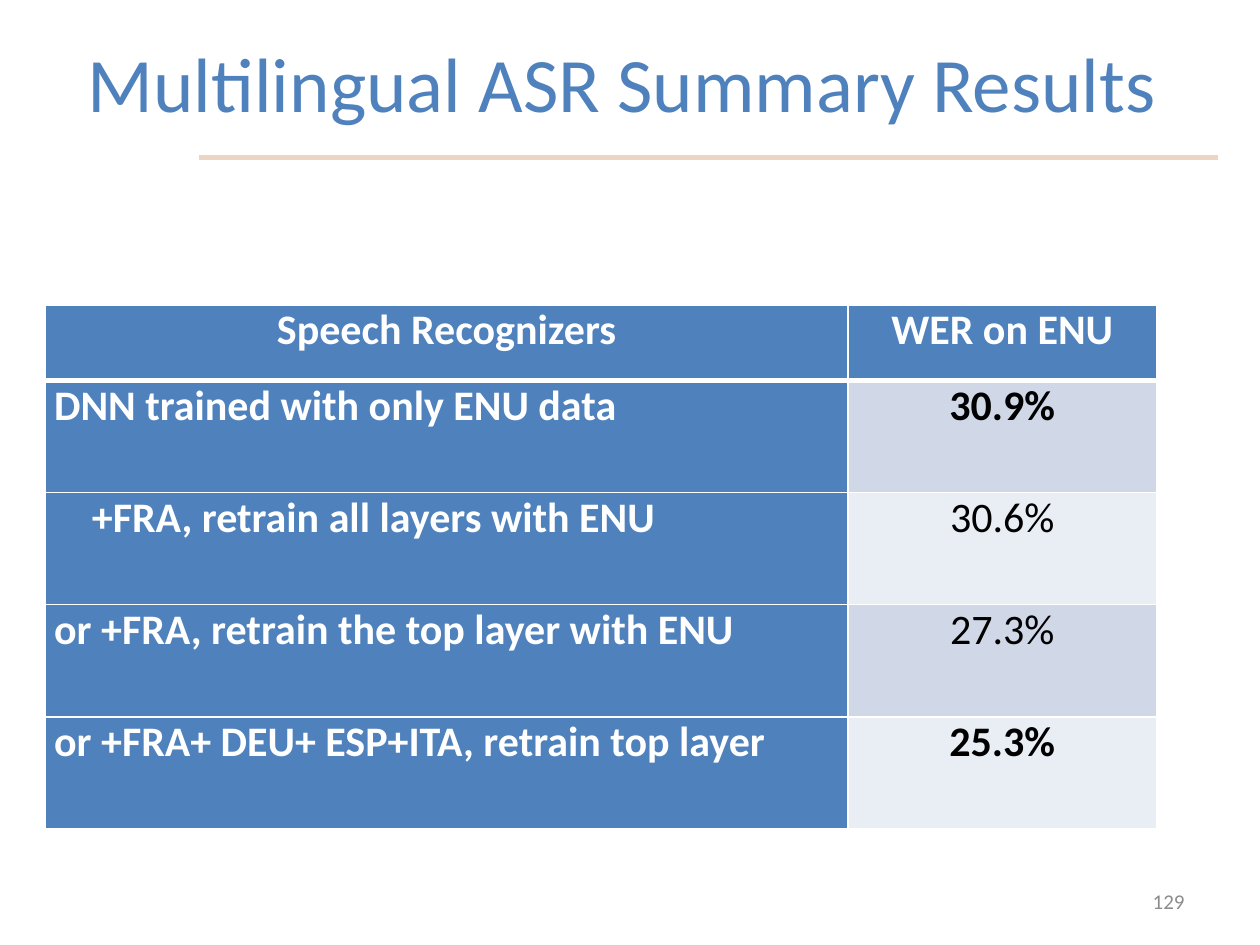
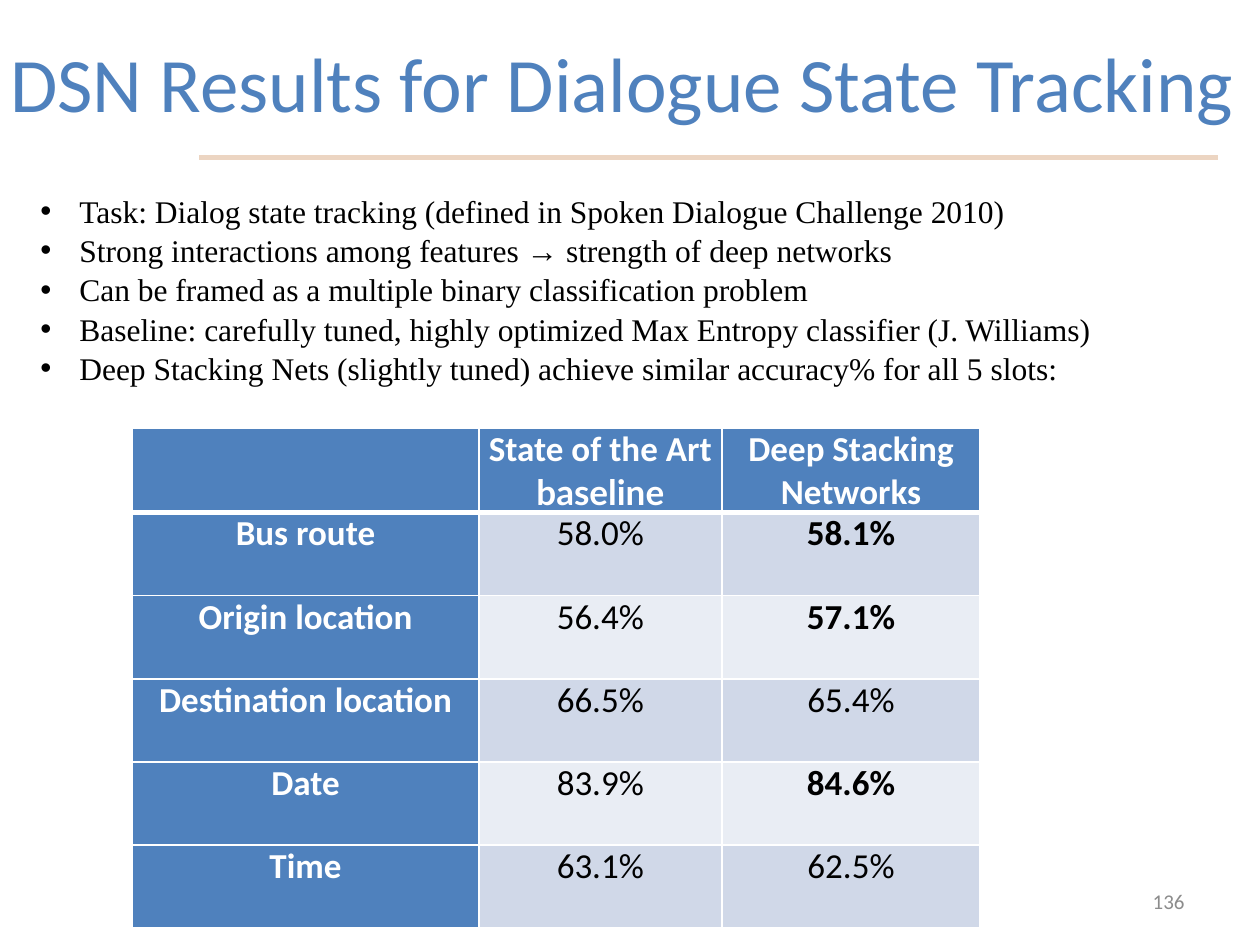
from lxml import etree
from pptx import Presentation
from pptx.dml.color import RGBColor
from pptx.enum import shapes, text
from pptx.oxml import ns
from pptx.util import Inches, Pt

BLUE = RGBColor(0x4F, 0x81, 0xBD)
SAND = RGBColor(0xEC, 0xD5, 0xC2)
GREY = RGBColor(0x8C, 0x8C, 0x8C)
WHITE = RGBColor(0xFF, 0xFF, 0xFF)
BLACK = RGBColor(0, 0, 0)
BANDS = (RGBColor(0xD0, 0xD8, 0xE8), RGBColor(0xE9, 0xED, 0xF4))
SANS, SERIF, HEADER_ALT = "Calibri", "Times New Roman", "Lato"
LEFT, CENTER, RIGHT = text.PP_ALIGN.LEFT, text.PP_ALIGN.CENTER, text.PP_ALIGN.RIGHT
TITLE_ONLY, TITLE_AND_BODY = 5, 1

SLIDES = [
    {
        "title": "Multilingual ASR Summary Results",
        "number": "129",
        "points": [],
        "table": {
            "at": (0.36, 2.42), "columns": (6.37, 2.45), "heights": (0.6, 0.89),
            "size": 24, "label_align": LEFT,
            "rows": [
                ("Speech Recognizers", "WER on ENU"),
                ("DNN trained with only ENU data", "30.9%"),
                ("+FRA, retrain all layers with ENU", "30.6%"),
                ("or +FRA, retrain the top layer with ENU", "27.3%"),
                ("or +FRA+ DEU+ ESP+ITA, retrain top layer", "25.3%"),
            ],
            "highlights": {"30.9%", "25.3%"},
            "indents": {"+FRA, retrain all layers with ENU": 0.3},
        },
    },
    {
        "title": "DSN Results for Dialogue State Tracking",
        "number": "136",
        "points": [
            "Task: Dialog state tracking (defined in Spoken Dialogue Challenge 2010)",
            "Strong interactions among features → strength of deep networks",
            "Can be framed as a multiple binary classification problem",
            "Baseline: carefully tuned, highly optimized Max Entropy classifier (J. Williams)",
            "Deep Stacking Nets (slightly tuned) achieve similar accuracy% for all 5 slots:",
        ],
        "table": {
            "at": (1.05, 3.4), "columns": (2.75, 1.93, 2.05), "heights": (0.66, 0.66),
            "size": 20, "label_align": CENTER,
            "rows": [
                ("", "State of the Art\nbaseline", "Deep Stacking\nNetworks"),
                ("Bus route", "58.0%", "58.1%"),
                ("Origin location", "56.4%", "57.1%"),
                ("Destination location", "66.5%", "65.4%"),
                ("Date", "83.9%", "84.6%"),
                ("Time", "63.1%", "62.5%"),
            ],
            "highlights": {"58.1%", "57.1%", "84.6%"},
            "indents": {},
        },
    },
]


def place(shape, left, top, width, height):
    shape.left, shape.top = Inches(left), Inches(top)
    shape.width, shape.height = Inches(width), Inches(height)


def style(paragraph, size, color, name=SANS, bold=False, align=LEFT):
    paragraph.alignment = align
    for run in paragraph.runs:
        run.font.size, run.font.name, run.font.bold = Pt(size), name, bold
        run.font.color.rgb = color


def add_frame(slide, title, number):
    rule = slide.shapes.add_connector(
        shapes.MSO_CONNECTOR.STRAIGHT,
        Inches(1.58), Inches(1.25), Inches(9.67), Inches(1.25))
    rule.line.color.rgb, rule.line.width = SAND, Pt(3)
    etree.SubElement(rule._element.spPr, ns.qn("a:effectLst"))

    heading = slide.shapes.title
    place(heading, -0.04, 0.02, 9.96, 1.25)
    heading.text_frame.text = title
    heading.text_frame.auto_size = text.MSO_AUTO_SIZE.NONE
    heading.text_frame.vertical_anchor = text.MSO_ANCHOR.MIDDLE
    style(heading.text_frame.paragraphs[0], 44, BLUE, align=CENTER)

    page = slide.shapes.add_textbox(
        Inches(7.17), Inches(6.95), Inches(2.33), Inches(0.4)).text_frame
    page.word_wrap = True
    page.vertical_anchor = text.MSO_ANCHOR.MIDDLE
    page.text = number
    style(page.paragraphs[0], 12, GREY, align=RIGHT)


def add_points(slide, points):
    body = slide.placeholders[1]
    place(body, 0.22, 1.46, 8.63, 1.62)
    frame = body.text_frame
    frame.text = "\n".join(points)
    frame.auto_size = text.MSO_AUTO_SIZE.NONE
    for paragraph in frame.paragraphs:
        properties = paragraph._p.get_or_add_pPr()
        properties.set("marL", str(Inches(0.31)))
        properties.set("indent", str(-Inches(0.31)))
        etree.SubElement(properties, ns.qn("a:buFont"), typeface="Arial")
        etree.SubElement(properties, ns.qn("a:buChar"), char="•")
        paragraph.space_before = Pt(0)
        paragraph.line_spacing = 1.04
        style(paragraph, 18, BLACK, SERIF)


def set_borders(cell, bottom):
    properties = cell._tc.get_or_add_tcPr()
    widths = (("a:lnL", 1), ("a:lnR", 1), ("a:lnT", 1), ("a:lnB", bottom))
    for position, (side, width) in enumerate(widths):
        edge = etree.Element(ns.qn(side), w=str(Pt(width)))
        solid = etree.SubElement(edge, ns.qn("a:solidFill"))
        etree.SubElement(solid, ns.qn("a:srgbClr"), val=str(WHITE))
        properties.insert(position, edge)


def add_results(slide, results):
    rows, columns = results["rows"], results["columns"]
    header_height, row_height = results["heights"]
    left, top = results["at"]
    grid = slide.shapes.add_table(
        len(rows), len(columns), Inches(left), Inches(top), Inches(sum(columns)),
        Inches(header_height + row_height * (len(rows) - 1))).table
    for column, width in zip(grid.columns, columns):
        column.width = Inches(width)
    for r, row in enumerate(rows):
        grid.rows[r].height = Inches(row_height if r else header_height)
        for c, content in enumerate(row):
            cell = grid.cell(r, c)
            heading = r == 0 or c == 0
            cell.margin_left = cell.margin_right = Inches(0.07)
            cell.margin_top = cell.margin_bottom = 0
            cell.fill.solid()
            cell.fill.fore_color.rgb = BLUE if heading else BANDS[(r - 1) % 2]
            set_borders(cell, 1 if r else 3)
            cell.text_frame.text = content
            for paragraph in cell.text_frame.paragraphs:
                if content in results["indents"]:
                    indent = Inches(results["indents"][content])
                    paragraph._p.get_or_add_pPr().set("marL", str(indent))
                style(paragraph, results["size"], WHITE if heading else BLACK,
                      HEADER_ALT if paragraph.text == "baseline" else SANS,
                      heading or content in results["highlights"],
                      results["label_align"] if r and c == 0 else CENTER)


def main():
    deck = Presentation()
    deck.slide_width, deck.slide_height = Inches(10), Inches(7.5)
    for content in SLIDES:
        layout = TITLE_AND_BODY if content["points"] else TITLE_ONLY
        slide = deck.slides.add_slide(deck.slide_layouts[layout])
        add_frame(slide, content["title"], content["number"])
        add_results(slide, content["table"])
        if content["points"]:
            add_points(slide, content["points"])
    deck.save("out.pptx")


if __name__ == "__main__":
    main()
